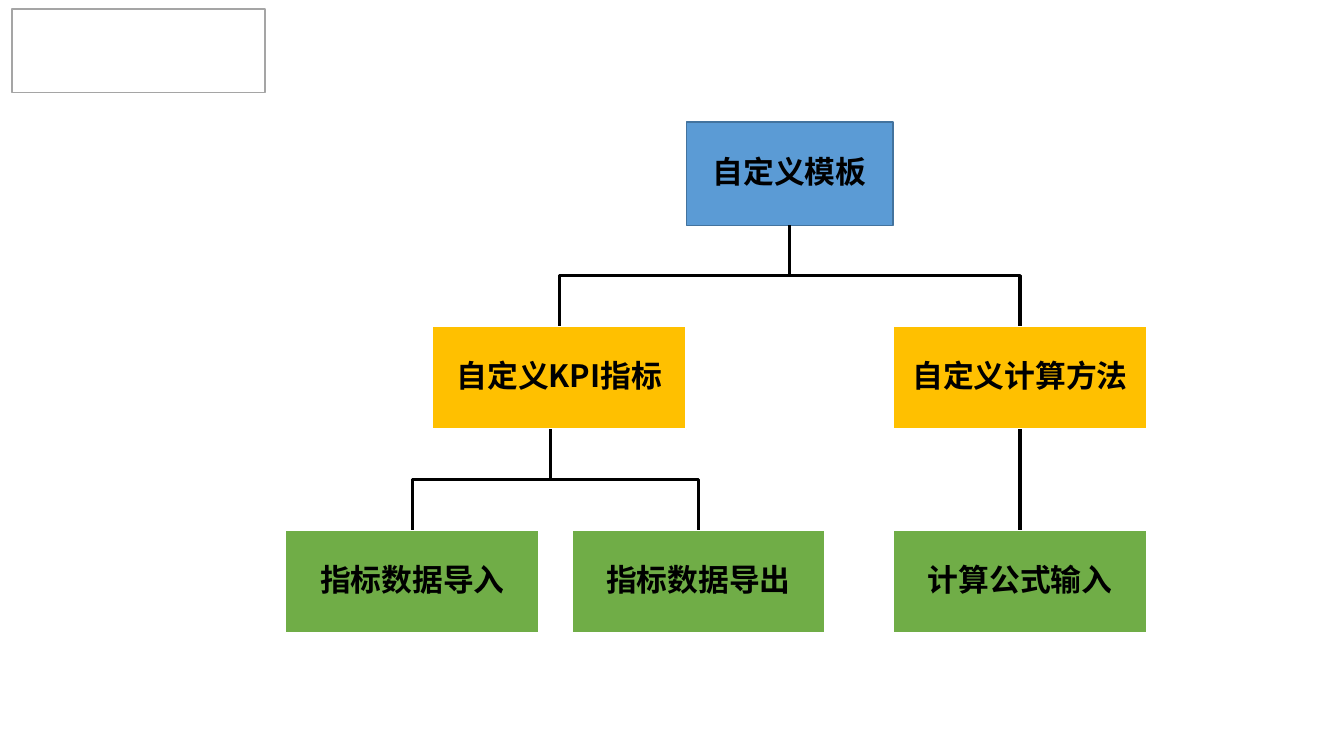
from pptx import Presentation, util as u
from pptx.dml.color import RGBColor
from pptx.enum import shapes, text
from pptx.oxml.ns import qn
from lxml import etree

FONT = "Noto Sans CJK SC"
BOX_H = 73.8
ROW_Y = [87.1 + 145.8 * i for i in range(3)]
ROOT_X, KPI_X, METHOD_X, IMPORT_X, EXPORT_X = 564, 399.6, 728.6, 294.5, 498.9
KPI_STEM_X = 393.1


def rgb(value):
    return RGBColor.from_string(value)


def add_rect(s, x, y, w, h, fill, line, weight):
    sp = s.shapes.add_shape(shapes.MSO_SHAPE.RECTANGLE, *map(u.Pt, (x, y, w, h)))
    sp.shadow.inherit = False
    if fill:
        sp.fill.solid()
        sp.fill.fore_color.rgb = rgb(fill)
    else:
        sp.fill.background()
    sp.line.color.rgb = rgb(line)
    sp.line.width = u.Pt(weight)
    return sp


def add_node(s, label, cx, row, w, fill, line="FFFFFF", weight=1.5):
    sp = add_rect(s, cx - w / 2, ROW_Y[row], w, BOX_H, fill, line, weight)
    tf = sp.text_frame
    tf.word_wrap = True
    tf.vertical_anchor = text.MSO_ANCHOR.MIDDLE
    tf.margin_left = tf.margin_right = tf.margin_top = tf.margin_bottom = u.Pt(1.4)
    p = tf.paragraphs[0]
    p.alignment = text.PP_ALIGN.CENTER
    p.line_spacing = 0.9
    p.space_after = u.Pt(7.7)
    r = p.add_run()
    r.text = label
    r.font.size = u.Pt(22)
    r.font.bold = True
    r.font.name = FONT
    r.font.color.rgb = rgb("000000")
    ea = etree.SubElement(r.font._element, qn("a:ea"))
    ea.set("typeface", FONT)


def add_link(s, x1, y1, x2, y2):
    bent = x1 != x2
    kind = shapes.MSO_CONNECTOR.ELBOW if bent else shapes.MSO_CONNECTOR.STRAIGHT
    c = s.shapes.add_connector(kind, *map(u.Pt, (x1, y1, x2, y2)))
    c.line.color.rgb = rgb("000000")
    c.line.width = u.Pt(2.25)
    props = c._element.spPr
    if bent:
        props.find(qn("a:prstGeom")).set("prst", "bentConnector2")
    etree.SubElement(props, qn("a:effectLst"))


def add_branch(s, row, stem_x, children):
    bottom = ROW_Y[row] + BOX_H
    top = ROW_Y[row + 1]
    bus = (bottom + top) / 2
    for start_x, child_x in children:
        add_link(s, start_x, bus, child_x, top)
    add_link(s, stem_x, bottom, stem_x, bus)


def main():
    prs = Presentation()
    prs.slide_width, prs.slide_height = u.Pt(960), u.Pt(540)
    s = prs.slides.add_slide(prs.slide_layouts[6])

    add_node(s, "自定义模板", ROOT_X, 0, 147.6, "5B9BD5", "43739E", 1)
    for label, cx, row, fill in [
        ("自定义KPI指标", KPI_X, 1, "FFC000"),
        ("自定义计算方法", METHOD_X, 1, "FFC000"),
        ("指标数据导入", IMPORT_X, 2, "70AD47"),
        ("指标数据导出", EXPORT_X, 2, "70AD47"),
        ("计算公式输入", METHOD_X, 2, "70AD47"),
    ]:
        add_node(s, label, cx, row, 181.4, fill)

    add_branch(s, 0, ROOT_X, [(573.1, KPI_X), (KPI_X, METHOD_X)])
    add_branch(s, 1, KPI_STEM_X, [(KPI_X, EXPORT_X), (472.3, IMPORT_X)])
    add_link(s, METHOD_X, ROW_Y[1] + BOX_H, METHOD_X, ROW_Y[2])

    add_rect(s, 8.6, 6.5, 180.7, 59.8, None, "A5A5A5", 1)
    prs.save("out.pptx")


if __name__ == "__main__":
    main()
